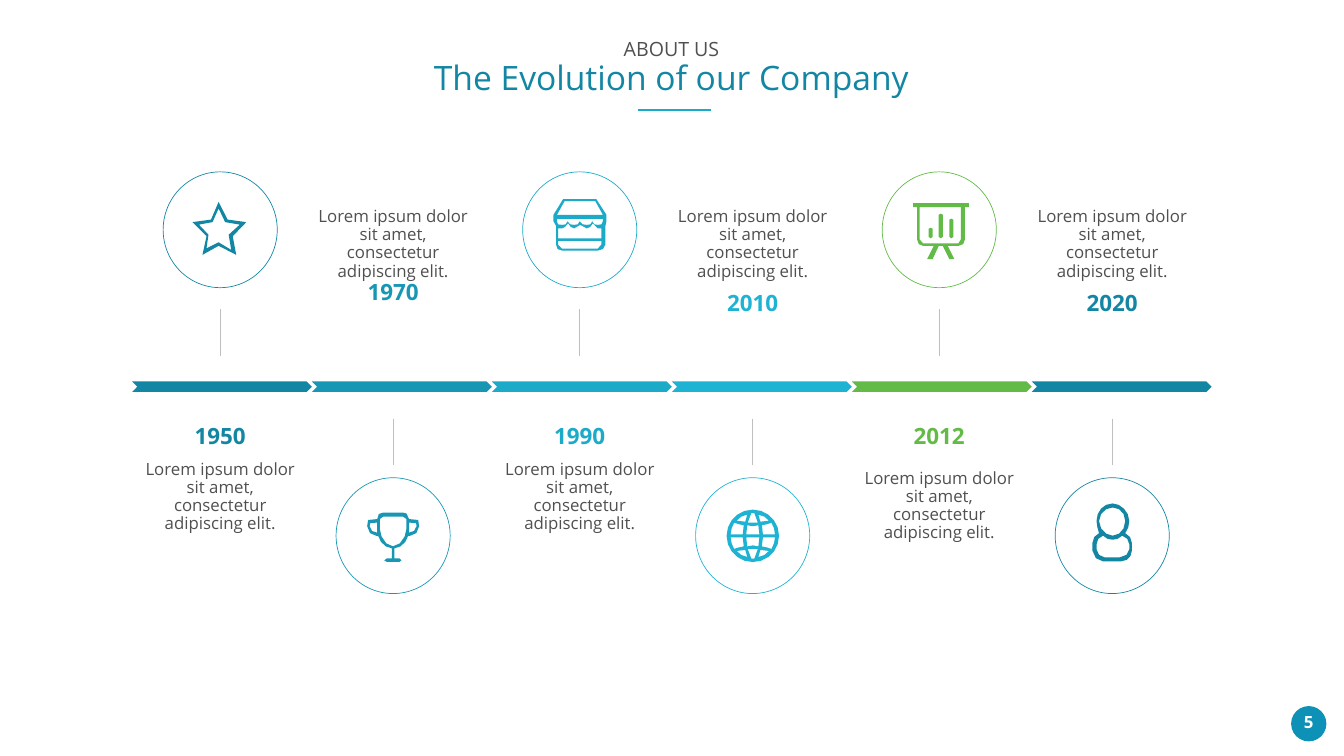
from math import dist

from pptx import Presentation as Deck
from pptx.dml.color import RGBColor as Rgb
from pptx.enum.shapes import MSO_CONNECTOR as Link, MSO_SHAPE as Form
from pptx.enum.text import MSO_ANCHOR as Anchor, MSO_AUTO_SIZE as Fit, PP_ALIGN as Align
from pptx.oxml.ns import qn
from pptx.util import Pt
from lxml.etree import SubElement as add_tag

FONT = "Open Sans"
DEEP, BLUE, TEAL, AQUA, GREEN = "1386A3", "1897B5", "1CAAC9", "1FB3D3", "61BB46"
GREY, RULE, BADGE, WHITE = "505050", "BFBFBF", "0E91B7", "FFFFFF"
LOREM = "Lorem ipsum dolor sit amet, consectetur adipiscing elit."

# Icon outlines in hundredths of an inch: contours split by ";", steps by ",".
# A step of two numbers is a line, one of six numbers a Bezier curve.
STAR = """107 40, 70 35, 52 0, 37 35, 0 40, 28 68, 20 105, 52 87, 87 105, 80 68;
52 80, 28 92, 32 65, 13 45, 40 40, 52 13, 65 40, 94 45, 72 65, 77 95"""
CUP = """85 13, 80 2, 73 0, 34 0, 25 3, 22 13, 0 13 2 13 2 27,
2 37 10 47 22 47, 24 47, 27 59 39 71 51 71, 51 91, 41 91, 36 95, 41 98, 66 98, 70 95, 66 91,
56 91, 56 71, 68 71 80 59 83 47, 85 47, 97 47 105 37 105 27, 105 13 107 13 85 13;
22 40, 14 40 7 35 7 27, 8 21, 22 20; 85 40, 85 20, 99 21, 100 27, 100 35 92 40 85 40;
80 32, 80 47 68 67 53 67, 39 67 27 47 27 32, 27 13, 34 8, 73 8, 80 13"""
SHOP = """85 0, 19 0, 0 31, 0 44, 5 53, 5 90, 5 98 9 102 17 102, 88 102,
95 102 103 98 103 90, 103 53, 105 44, 105 31;
95 90, 88 98, 17 98, 9 90, 9 83, 95 83;
95 78, 9 78, 9 58, 17 58, 19 58 27 53 29 48, 32 53 36 58 41 58, 46 58 51 53 53 51,
53 53 61 58 66 58, 71 58 76 53 78 48, 80 53 83 58 88 58, 95 58;
98 44, 95 50, 88 51, 81 50, 77 44, 73 50, 66 51, 58 50, 52 44,
48 50, 41 51, 33 50, 28 44, 24 50, 17 51, 9 50, 7 44, 7 39, 98 39; 7 31, 22 4, 83 4, 98 31"""
BOARD = """0 0, 0 8, 8 8, 8 72, 8 80 13 85 20 85, 41 85, 28 111, 39 111, 51 85, 59 85,
72 111, 82 111, 69 85, 90 85, 98 85 103 80 103 72, 103 8, 111 8, 111 0;
95 72, 90 80, 20 80, 13 72, 13 8, 95 8;
31 51, 35 49, 39 51, 39 67, 35 70, 31 67;
51 23, 55 21, 59 23, 59 67, 55 70, 51 67;
72 33, 76 31, 80 33, 80 67, 76 70, 72 67"""
USER = """65 59, 70 51 73 45 73 35, 73 16 56 0 40 0, 21 0 8 16 8 35, 8 45 11 51 13 59,
5 62 0 70 0 78, 0 94, 0 105 11 115 21 115, 56 115, 70 115 78 105 78 94, 78 78, 78 70 73 62 65 59;
13 35, 13 19 27 8 40 8, 54 8 65 19 65 35, 65 51 54 64 40 64, 27 64 13 51 13 35;
73 91, 73 99 65 107 54 107, 24 107, 16 107 8 99 8 91, 8 81, 8 72 13 67 21 64,
27 70 32 72 40 72, 46 72 54 70 59 64, 67 67 73 72 73 81"""
# The globe is centred on zero, and its panes are mirrored
RIM = "0 -52, 29 -52 52 -29 52 0, 52 29 29 52 0 52, -29 52 -52 29 -52 0, -52 -29 -29 -52 0 -52"
SIDE = """37 -26, 42 -15, 44 -3, 20 -3, 18 -21, 28 -23;
32 -30, 15 -28, 11 -42, 23 -38"""
MID = """-13 -3, -11 -21, 0 -19, 11 -21, 13 -3;
-3 -45, 3 -45, 10 -26, -10 -26"""


def trace(path, flip=(1, 1)):
    """Turn an outline into lists of points, with long curves cut finer."""
    rings = []
    for ring in path.split(";"):
        dots = []
        for step in ring.split(","):
            nums = [float(n) for n in step.split()]
            ends = list(zip(nums[::2], nums[1::2]))
            if len(ends) == 1:
                dots += ends
                continue
            knots = [dots[-1]] + ends
            parts = 1 + int(dist(knots[0], knots[-1]) // 15)
            for t in (k / parts for k in range(1, parts + 1)):
                u = 1 - t
                mix = (u ** 3, 3 * u * u * t, 3 * u * t * t, t ** 3)
                dots.append(tuple(sum(m * p[a] for m, p in zip(mix, knots)) for a in (0, 1)))
        rings.append([(x * flip[0], y * flip[1]) for x, y in dots])
    return rings


def globe():
    rings = trace(RIM)
    for down in (1, -1):
        rings += trace(MID, (1, down))
        for side in (1, -1):
            rings += trace(SIDE, (side, down))
    return rings


def hue(code):
    return Rgb.from_string(code)


def write(frame, text, first=False, size=24, color=GREY, bold=False, gap=0):
    """Add one centred paragraph to a text frame."""
    para = frame.paragraphs[0] if first else frame.add_paragraph()
    para.text = text
    para.alignment = Align.CENTER
    para.line_spacing = 0.9
    para.space_before = Pt(gap)
    font = para.font
    font.name, font.size, font.bold = FONT, Pt(size), bold
    font.color.rgb = hue(color)


class Page:
    def __init__(self, wide, high):
        self.deck = Deck()
        self.deck.slide_width, self.deck.slide_height = Pt(wide), Pt(high)
        self.slide = self.deck.slides.add_slide(self.deck.slide_layouts[5])
        self.items = self.slide.shapes

    def frame(self, box, pad=(7.2, 3.6)):
        text = box.text_frame
        text.word_wrap = True
        text.auto_size = Fit.NONE
        text.vertical_anchor = Anchor.TOP
        text.margin_left = text.margin_right = Pt(pad[0])
        text.margin_top = text.margin_bottom = Pt(pad[1])
        return text

    def title(self, x, y, w, h):
        box = self.items.title
        box.left, box.top, box.width, box.height = map(Pt, (x, y, w, h))
        return self.frame(box)

    def label(self, x, y, w, h, **pad):
        return self.frame(self.items.add_textbox(*map(Pt, (x, y, w, h))), **pad)

    def paint(self, shape, fill=None, edge=None):
        shape.shadow.inherit = False
        if fill:
            shape.fill.solid()
            shape.fill.fore_color.rgb = hue(fill)
        else:
            shape.fill.background()
        if edge:
            shape.line.color.rgb = hue(edge)
            shape.line.width = Pt(1)
        else:
            shape.line.fill.background()

    def shape(self, form, x, y, w, h, **look):
        self.paint(self.items.add_shape(form, *map(Pt, (x, y, w, h))), **look)

    def line(self, x, y, end_x, end_y, color, width):
        link = self.items.add_connector(Link.STRAIGHT, *map(Pt, (x, y, end_x, end_y)))
        link.line.color.rgb = hue(color)
        link.line.width = Pt(width)
        add_tag(link._element.spPr, qn("a:effectLst"))

    def icon(self, rings, x, y, color):
        fine = 10  # whole drawing units per outline unit
        rings = [[(a * fine, b * fine) for a, b in ring] for ring in rings]
        pen = self.items.build_freeform(*rings[0][0], scale=Pt(0.72) / fine)
        pen.add_line_segments(rings[0][1:], close=True)
        for ring in rings[1:]:
            pen.move_to(*ring[0])
            pen.add_line_segments(ring[1:], close=True)
        self.paint(pen.convert_to_shape(Pt(x), Pt(y)), fill=color)


def main():
    page = Page(1919.52, 1080)

    # Heading
    head = page.title(609, 53.3, 700, 90)
    write(head, "ABOUT US", first=True, size=28)
    write(head, "The Evolution of our Company", size=48, color=DEEP)
    page.line(911.5, 157, 1015, 157, TEAL, 3)

    # Timeline: year, colour, gap by the year, icon and its offset in the circle
    steps = [
        ("1950", DEEP, 16, trace(STAR), 41.8, 43),
        ("1970", BLUE, 0, trace(CUP), 43, 49.7),
        ("1990", TEAL, 16, trace(SHOP), 44, 39),
        ("2010", AQUA, 16, globe(), 81.7, 83),
        ("2012", GREEN, 29.4, trace(BOARD), 44, 44.6),
        ("2020", DEEP, 16, trace(USER), 53.3, 36.7),
    ]
    for i, (year, color, gap, rings, dx, dy) in enumerate(steps):
        pair, low = divmod(i, 2)
        left = (480 if low else 233) + 513.5 * pair
        top = 682.5 if low else 245.5
        page.shape(Form.CHEVRON, 188.6 + 257 * i, 545, 257, 15, fill=color)
        page.shape(Form.OVAL, left, top, 163, 165.5, edge=color)
        page.icon(rings, left + dx, top + dy, color)
        stem = 598 if low else 441.5
        page.line(left + 81.5, stem, left + 81.5, stem + 67, RULE, 0.75)
        note = page.label(left - 47, 288 if low else 598, 257, 190, pad=(19.4, 9.4))
        mark = dict(size=32, color=color, bold=True)
        if low:
            write(note, LOREM, first=True)
            write(note, year, gap=gap, **mark)
        else:
            write(note, year, first=True, **mark)
            write(note, LOREM, gap=gap)

    # Page number
    page.shape(Form.OVAL, 1844, 1008.7, 50.4, 50.4, fill=BADGE)
    spot = page.label(1840.5, 1016, 57, 36)
    write(spot, "5", first=True, color=WHITE, bold=True)

    page.deck.save("out.pptx")


if __name__ == "__main__":
    main()
